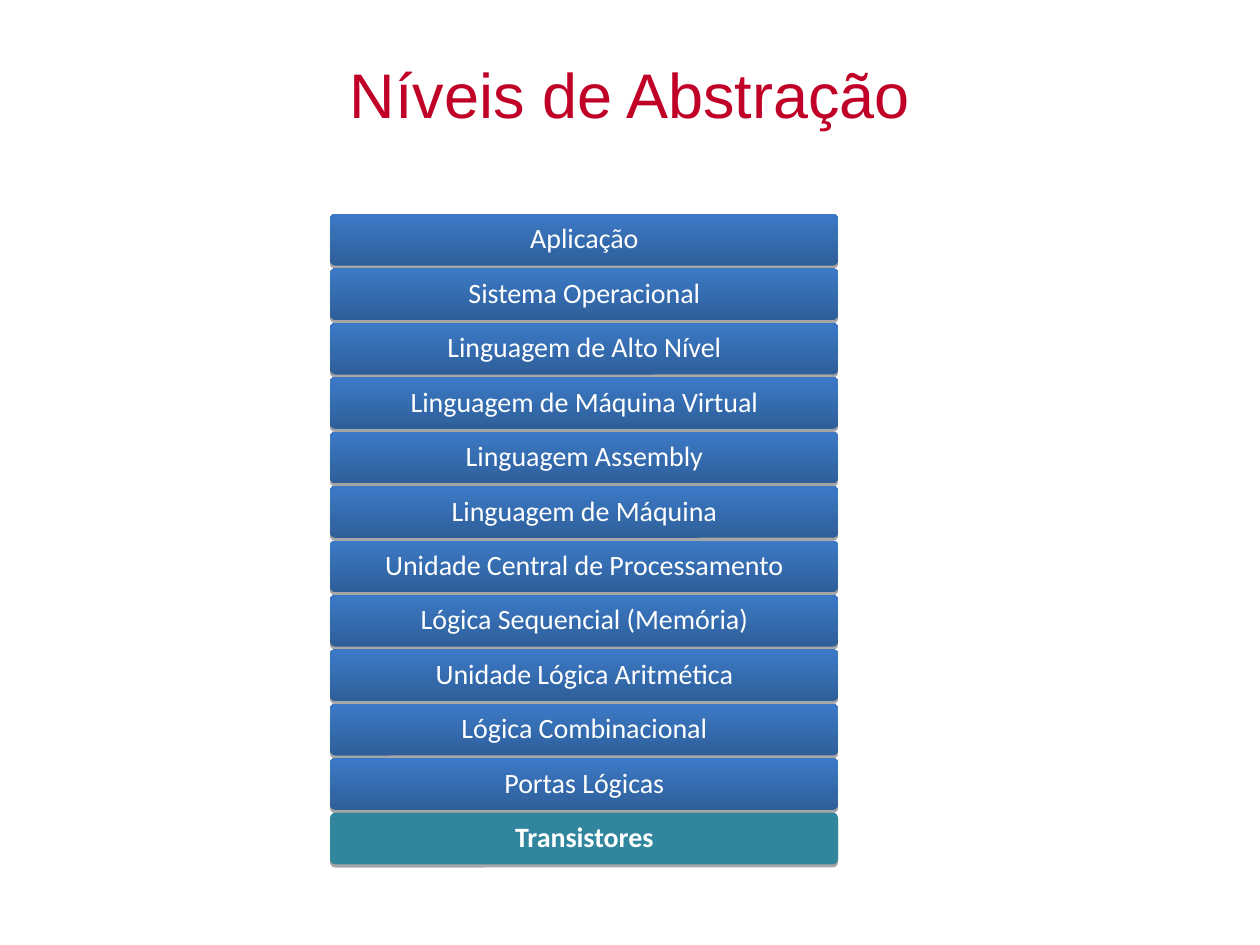
from lxml import etree
from pptx import Presentation
from pptx.dml.color import RGBColor
from pptx.enum.shapes import MSO_SHAPE
from pptx.enum.text import MSO_ANCHOR, PP_ALIGN
from pptx.oxml.ns import qn
from pptx.util import Pt

ROUNDED = MSO_SHAPE.ROUNDED_RECTANGLE
MIDDLE = MSO_ANCHOR.MIDDLE
CENTER = PP_ALIGN.CENTER

LEVELS = [
    "Aplicação",
    "Sistema Operacional",
    "Linguagem de Alto Nível",
    "Linguagem de Máquina Virtual",
    "Linguagem Assembly",
    "Linguagem de Máquina",
    "Unidade Central de Processamento",
    "Lógica Sequencial (Memória)",
    "Unidade Lógica Aritmética",
    "Lógica Combinacional",
    "Portas Lógicas",
    "Transistores",
]
STACK_LEFT, STACK_TOP = 188.6, 122.3
LEVEL_WIDTH, LEVEL_HEIGHT, LEVEL_PITCH = 290.3, 29.5, 31.1


def color(value):
    return RGBColor.from_string(value)


def write(frame, text, font, size, fill, bold=False, spacing=1.0):
    frame.word_wrap = True
    para = frame.paragraphs[0]
    para.alignment = CENTER
    para.line_spacing = spacing
    span = para.add_run()
    span.text = text
    span.font.name = font
    span.font.size = Pt(size)
    span.font.bold = bold
    span.font.color.rgb = color(fill)


class SlideBuilder:
    title_color = "C00026"
    level_colors = ("2E5F99", "3C7AC7")
    highlight_color = "31859C"
    text_color = "FFFFFF"
    shadow_color = "000000"

    def __init__(self, page):
        self.page = page

    def title(self, text, left, top, width, height):
        box = self.page.shapes.add_textbox(Pt(left), Pt(top), Pt(width), Pt(height))
        write(box.text_frame, text, font="Arial", size=36, fill=self.title_color)

    def level(self, text, left, top, width, height, highlighted=False):
        box = self.page.shapes.add_shape(ROUNDED, Pt(left), Pt(top), Pt(width), Pt(height))
        box.adjustments[0] = 0.1
        box.line.fill.background()
        if highlighted:
            box.fill.solid()
            box.fill.fore_color.rgb = color(self.highlight_color)
        else:
            box.fill.gradient()
            box.fill.gradient_angle = 90
            for stop, shade in zip(box.fill.gradient_stops, self.level_colors):
                stop.color.rgb = color(shade)
                stop.position = self.level_colors.index(shade)
        self.shadow(box)
        frame = box.text_frame
        frame.vertical_anchor = MIDDLE
        frame.margin_left = frame.margin_top = frame.margin_bottom = Pt(5.6)
        frame.margin_right = Pt(5.2)
        write(frame, text, font="Calibri", size=16, fill=self.text_color,
              bold=highlighted, spacing=0.9)

    def shadow(self, box):
        box.shadow.inherit = False
        effects = box.element.spPr.find(qn("a:effectLst"))
        outer = etree.SubElement(effects, qn("a:outerShdw"), blurRad="0",
                                 dist=str(Pt(1.8)), dir="5400000", rotWithShape="0")
        tone = etree.SubElement(outer, qn("a:srgbClr"), val=self.shadow_color)
        etree.SubElement(tone, qn("a:alpha"), val="35000")


def main():
    deck = Presentation()
    deck.slide_width, deck.slide_height = Pt(720), Pt(540)
    builder = SlideBuilder(deck.slides.add_slide(deck.slide_layouts[6]))
    builder.title("Níveis de Abstração", 36, 28, 648, 48)
    for row, name in enumerate(LEVELS):
        builder.level(name, STACK_LEFT, STACK_TOP + row * LEVEL_PITCH,
                      LEVEL_WIDTH, LEVEL_HEIGHT, highlighted=name == LEVELS[-1])
    deck.save("out.pptx")


if __name__ == "__main__":
    main()
